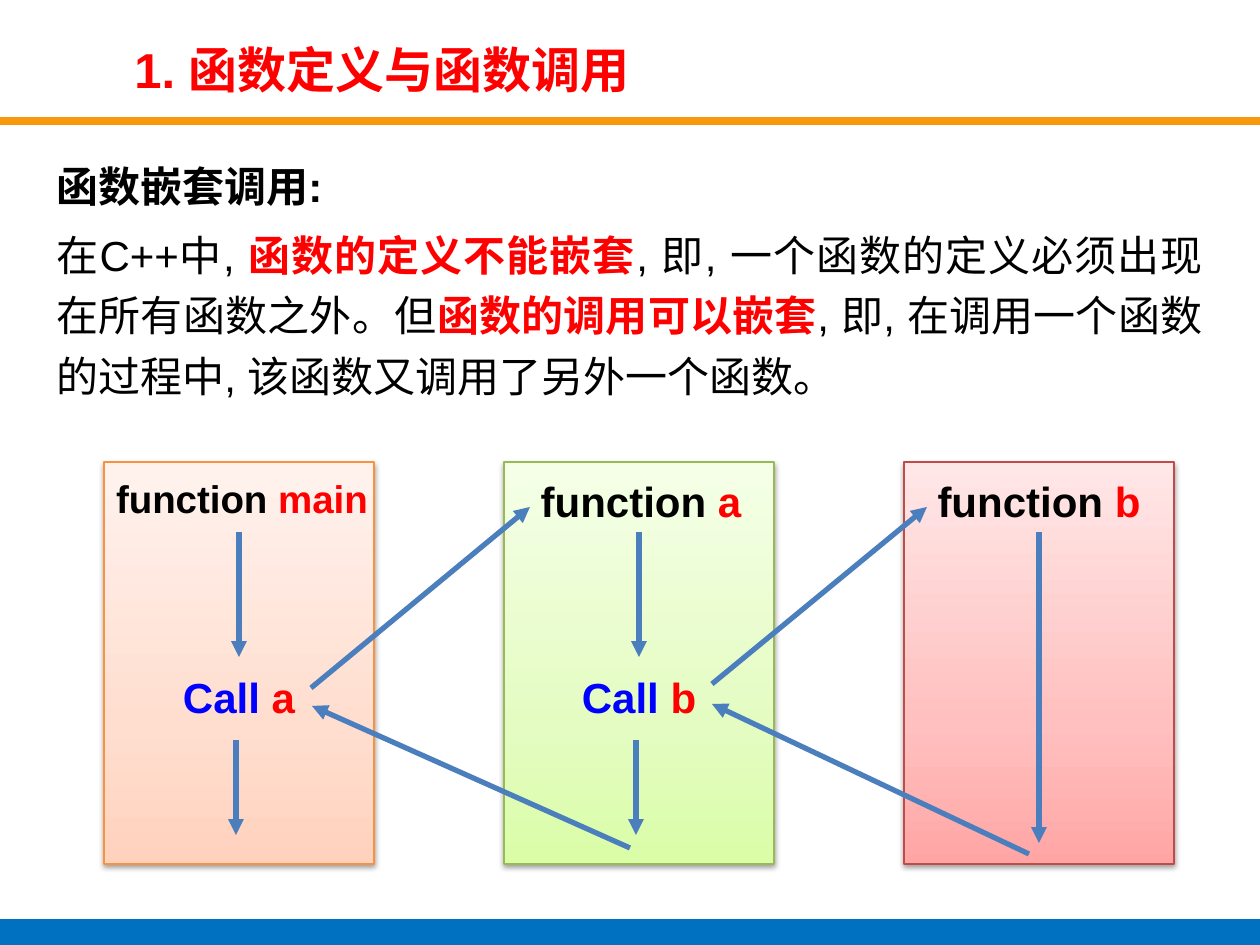
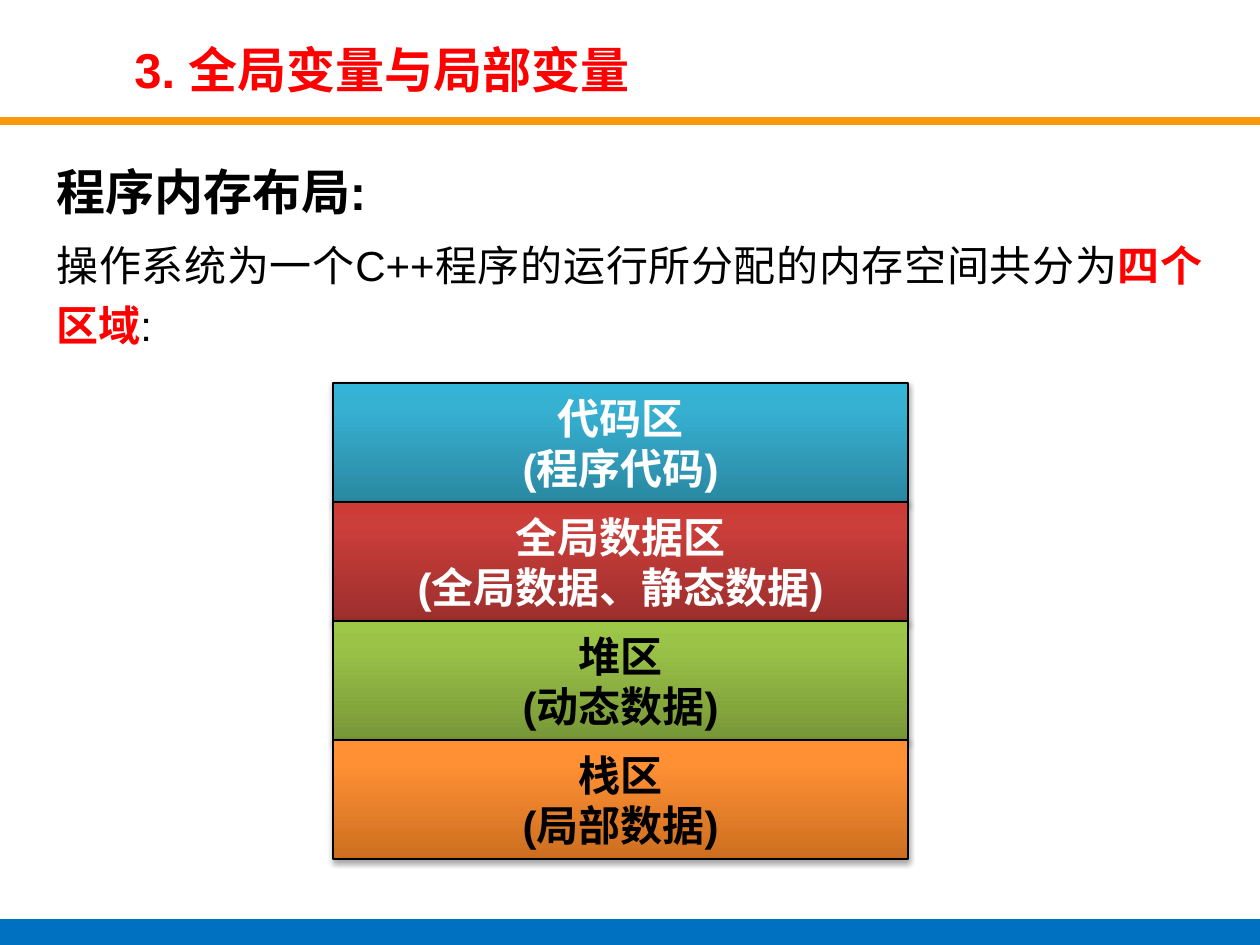
"""Build two C++ lecture slides: nested function calls and program memory layout."""
import pptx
import pptx.dml.color
import pptx.enum.shapes
import pptx.enum.text
import pptx.oxml
import pptx.oxml.ns
import pptx.util
import lxml.etree

PX = 914400 // 126
FONT = "Arial"
SHAPE = pptx.enum.shapes.MSO_SHAPE.RECTANGLE
ALIGN = pptx.enum.text.PP_ALIGN
ANCHOR = pptx.enum.text.MSO_ANCHOR
COLORS = {
    "black": "000000", "white": "FFFFFF", "red": "FF0000", "blue": "0000FF",
    "band": "F7990A", "footer": "0070C0", "arrow": "4B7EBC",
}

NESTED_TITLE = "1. 函数定义与函数调用"
NESTED_BODY = [
    (24, [("函数嵌套调用:", "black", True)]),
    (24, [
        ("在C++中, ", "black", False),
        ("函数的定义不能嵌套", "red", True),
        (", 即, 一个函数的定义必须出现在所有函数之外。但", "black", False),
        ("函数的调用可以嵌套", "red", True),
        (", 即, 在调用一个函数的过程中, 该函数又调用了另外一个函数。", "black", False),
    ]),
]
FUNCTIONS = [
    {"name": "main", "size": 22, "shift": 3, "calls": "a", "line": "F69240",
     "stops": [(0, "FFD2BD"), (35, "FFDED0"), (100, "FFF2ED")]},
    {"name": "a", "size": 24, "shift": 2, "calls": "b", "line": "98B955",
     "stops": [(0, "DAFDA7"), (35, "E4FCC2"), (100, "F5FFE7")]},
    {"name": "b", "size": 24, "shift": 0, "calls": None, "line": "BF4C48",
     "stops": [(0, "FFA6A5"), (35, "FFC0BF"), (100, "FFE7E7")]},
]
CALL_AND_RETURN_ARROWS = [
    ((311, 688), (530, 507)), ((712, 684), (927, 507)),
    ((630, 848), (312, 706)), ((1029, 854), (712, 704)),
]

MEMORY_TITLE = "3. 全局变量与局部变量"
MEMORY_BODY = [
    (28, [("程序内存布局:", "black", True)]),
    (24, [
        ("操作系统为一个C++程序的运行所分配的内存空间共分为", "black", False),
        ("四个区域", "red", True),
        (":", "black", False),
    ]),
]
MEMORY_AREAS = [
    ("代码区", "(程序代码)", "white", [(0, "2A88A2"), (80, "37B1D2"), (100, "34B4D6")]),
    ("全局数据区", "(全局数据、静态数据)", "white", [(0, "9C2F2D"), (80, "CB3E3A"), (100, "CE3B37")]),
    ("堆区", "(动态数据)", "black", [(0, "779737"), (80, "9BC348"), (100, "9DC746")]),
    ("栈区", "(局部数据)", "black", [(0, "CC6E20"), (80, "FF9034"), (100, "FF9136")]),
]


def rgb(value):
    return pptx.dml.color.RGBColor.from_string(value)


def add_child(parent, tag, **attributes):
    child = lxml.etree.SubElement(parent, pptx.oxml.ns.qn(tag))
    for name, value in attributes.items():
        child.set(name, str(value))
    return child


def emu(*lengths):
    return [length * PX for length in lengths]


def write(frame, paragraphs, align, line_spacing=None, gap=0):
    """Fill a frame with (size, [(text, color, bold), ...]) paragraphs."""
    frame.word_wrap = True
    for index, (size, spans) in enumerate(paragraphs):
        para = frame.add_paragraph() if index else frame.paragraphs[0]
        para.alignment = align
        if line_spacing:
            para.line_spacing = line_spacing
            para.space_before = pptx.util.Pt(size * gap)
        for text, color, bold in spans:
            span = para.add_run()
            span.text = text
            span.font.name = FONT
            span.font.size = pptx.util.Pt(size)
            span.font.bold = bold
            span.font.color.rgb = rgb(COLORS[color])


def add_text(page, place, paragraphs, align=ALIGN.CENTER, anchor=ANCHOR.TOP, **spacing):
    box = page.shapes.add_textbox(*emu(*place))
    box.text_frame.vertical_anchor = anchor
    write(box.text_frame, paragraphs, align, **spacing)


def add_band(page, top, height, color):
    band = page.shapes.add_shape(SHAPE, *emu(0, top, 1260, height))
    band.fill.solid()
    band.fill.fore_color.rgb = rgb(COLORS[color])
    band.line.fill.background()
    band.shadow.inherit = False


def add_gradient_box(page, place, stops, line_color, line_width, shadow_alpha):
    box = page.shapes.add_shape(SHAPE, *emu(*place))
    box.fill.gradient()
    box.fill.gradient_angle = 90
    properties = box._element.spPr
    stop_list = properties.find(".//" + pptx.oxml.ns.qn("a:gsLst"))
    stop_list.clear()
    for position, color in stops:
        stop = add_child(stop_list, "a:gs", pos=position * 1000)
        add_child(stop, "a:srgbClr", val=color)
    box.line.color.rgb = rgb(line_color)
    box.line.width = pptx.util.Pt(line_width)
    box.shadow.inherit = False
    effects = properties.find(pptx.oxml.ns.qn("a:effectLst"))
    shadow = add_child(effects, "a:outerShdw", blurRad=40000, dist=20000,
                       dir=5400000, rotWithShape=0)
    shade = add_child(shadow, "a:srgbClr", val=COLORS["black"])
    add_child(shade, "a:alpha", val=shadow_alpha * 1000)
    return box


def add_arrow(page, start, end):
    arrow = page.shapes.add_connector(
        pptx.enum.shapes.MSO_CONNECTOR.STRAIGHT, *emu(*start, *end))
    arrow.line.color.rgb = rgb(COLORS["arrow"])
    arrow.line.width = pptx.util.Pt(3)
    add_child(arrow.line._get_or_add_ln(), "a:tailEnd", type="triangle")
    add_child(arrow._element.spPr, "a:effectLst")


def add_page(deck, title, body):
    page = deck.slides.add_slide(deck.slide_layouts[6])
    add_band(page, 117, 8, "band")
    add_band(page, 919, 30, "footer")
    add_text(page, (44, 144, 1171, 755), body, ALIGN.JUSTIFY, line_spacing=1.2, gap=0.2)
    add_text(page, (122, 34, 864, 69), [(28, [(title, "red", True)])],
             ALIGN.LEFT, ANCHOR.MIDDLE)
    return page


def add_functions(page):
    left, top, width, height, pitch = 104, 462, 270, 402, 400
    for index, function in enumerate(FUNCTIONS):
        column = left + index * pitch
        center = column + width // 2
        add_gradient_box(page, (column, top, width, height), function["stops"],
                         function["line"], 0.75, 38)
        heading = [("function", "black", True), (" " + function["name"], "red", True)]
        add_text(page, (center + function["shift"] - 150, 469, 300, 60),
                 [(function["size"], heading)])
        if function["calls"]:
            call = [("Call ", "blue", True), (function["calls"], "red", True)]
            add_text(page, (center - 109, 665, 218, 63), [(24, call)])
            add_arrow(page, (center, 532), (center, 657))
            add_arrow(page, (center - 3, 740), (center - 3, 835))
        else:
            add_arrow(page, (center, 532), (center, 843))
    for start, end in CALL_AND_RETURN_ARROWS:
        add_arrow(page, start, end)


def add_memory_areas(page):
    left, top, width, height = 333, 383, 575, 119
    for index, (name, content, color, stops) in enumerate(MEMORY_AREAS):
        area = add_gradient_box(page, (left, top + index * height, width, height),
                                stops, COLORS["black"], 1.5, 35)
        area.text_frame.vertical_anchor = ANCHOR.MIDDLE
        write(area.text_frame, [(24, [(text, color, True)]) for text in (name, content)],
              ALIGN.CENTER)


def main():
    deck = pptx.Presentation()
    deck.slide_width, deck.slide_height = emu(1260, 945)
    add_functions(add_page(deck, NESTED_TITLE, NESTED_BODY))
    add_memory_areas(add_page(deck, MEMORY_TITLE, MEMORY_BODY))
    deck.save("out.pptx")


if __name__ == "__main__":
    main()
